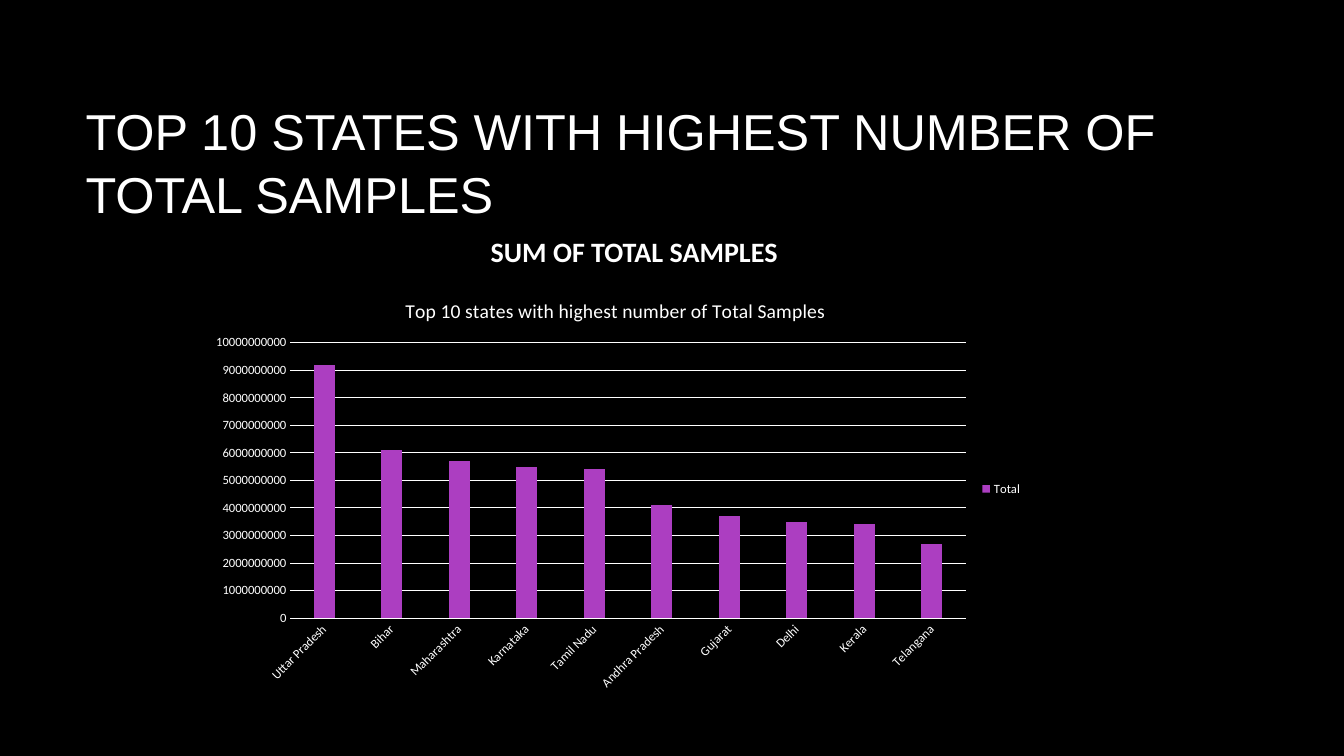
import pptx
import pptx.chart.data
import pptx.dml.color
import pptx.enum.chart
import pptx.enum.text
import pptx.oxml
import pptx.util
from lxml import etree

WIDTH, HEIGHT = 13.33, 7.5
WHITE, BLACK, PURPLE = "FFFFFF", "000000", "AC3EC1"
TITLE_BOX = (0.75, 0.78, 11.08, 1.49)
SUBTITLE_BOX = (0.75, 2.28, 11.08, 0.5)
CHART_BOX = (1.97, 2.78, 8.27, 4.14)
PLOT_SHARES = {"x": 0.11, "y": 0.15, "w": 0.81, "h": 0.66}
SAMPLES_IN_BILLIONS = {
    "Uttar Pradesh": 9.2, "Bihar": 6.1, "Maharashtra": 5.7,
    "Karnataka": 5.5, "Tamil Nadu": 5.4, "Andhra Pradesh": 4.1,
    "Gujarat": 3.7, "Delhi": 3.5, "Kerala": 3.4, "Telangana": 2.7,
}


def colour(target, value):
    if hasattr(target, "solid"):
        target.solid()
        target = target.fore_color
    target.rgb = pptx.dml.color.RGBColor.from_string(value)


def apply(target, values):
    for name, value in values.items():
        setattr(target, name, value)


def style_font(font, size, name="Calibri", bold=False):
    apply(font, {"size": pptx.util.Pt(size), "name": name, "bold": bold})
    colour(font.color, WHITE)


def style_line(line):
    line.width = pptx.util.Pt(0.75)
    colour(line.fill, WHITE)


def add_text(page, box, text, font, frame_format, para_format):
    frame = page.shapes.add_textbox(*map(pptx.util.Inches, box)).text_frame
    apply(frame, {"word_wrap": True, **frame_format})
    para = frame.paragraphs[0]
    apply(para, para_format)
    span = para.add_run()
    span.text = text
    style_font(span.font, **font)


def place_plot(chart, shares):
    plot_area = chart.plots[0]._element.getparent()
    for layout in plot_area.findall(pptx.oxml.ns.qn("c:layout")):
        plot_area.remove(layout)
    layout = etree.Element(pptx.oxml.ns.qn("c:layout"))
    manual = etree.SubElement(layout, pptx.oxml.ns.qn("c:manualLayout"))
    settings = {"layoutTarget": "inner", "xMode": "edge", "yMode": "edge", **shares}
    for name, value in settings.items():
        etree.SubElement(manual, pptx.oxml.ns.qn(f"c:{name}")).set("val", str(value))
    plot_area.insert(0, layout)


def add_samples_chart(page, box):
    data = pptx.chart.data.CategoryChartData()
    data.categories = list(SAMPLES_IN_BILLIONS)
    data.add_series("Total", [round(value * 10**9) for value in SAMPLES_IN_BILLIONS.values()])
    chart = page.shapes.add_chart(
        pptx.enum.chart.XL_CHART_TYPE.COLUMN_CLUSTERED,
        *map(pptx.util.Inches, box), data).chart
    style_font(chart.font, 10)

    chart.has_title = True
    heading = chart.chart_title.text_frame
    heading.text = "Top 10 states with highest number of Total Samples"
    style_font(heading.paragraphs[0].runs[0].font, 14)

    chart.has_legend = True
    apply(chart.legend, {
        "position": pptx.enum.chart.XL_LEGEND_POSITION.RIGHT,
        "include_in_layout": False,
    })
    style_font(chart.legend.font, 9)

    for axis in (chart.category_axis, chart.value_axis):
        apply(axis, {
            "major_tick_mark": pptx.enum.chart.XL_TICK_MARK.NONE,
            "minor_tick_mark": pptx.enum.chart.XL_TICK_MARK.NONE,
        })
        style_font(axis.tick_labels.font, 9)
    style_line(chart.category_axis.format.line)
    label_body = chart.category_axis._element.find(pptx.oxml.ns.qn("c:txPr"))
    label_body.find(pptx.oxml.ns.qn("a:bodyPr")).set("rot", str(-45 * 60000))

    apply(chart.value_axis, {
        "minimum_scale": 0, "maximum_scale": 10**10, "major_unit": 10**9,
    })
    apply(chart.value_axis.tick_labels, {
        "number_format": "0", "number_format_is_linked": False,
    })
    chart.value_axis.format.line.fill.background()
    style_line(chart.value_axis.major_gridlines.format.line)

    plot = chart.plots[0]
    apply(plot, {"gap_width": 219, "overlap": -27, "vary_by_categories": False})
    colour(plot.series[0].format.fill, PURPLE)
    place_plot(chart, PLOT_SHARES)


def build_samples_page(deck):
    page = deck.slides.add_slide(deck.slide_layouts[6])
    colour(page.background.fill, BLACK)
    add_text(
        page, TITLE_BOX, "TOP 10 STATES WITH HIGHEST NUMBER OF TOTAL SAMPLES",
        {"size": 36, "name": "Arial"},
        {"vertical_anchor": pptx.enum.text.MSO_ANCHOR.BOTTOM},
        {"line_spacing": 1.05})
    add_text(
        page, SUBTITLE_BOX, "SUM OF TOTAL SAMPLES",
        {"size": 20, "bold": True},
        {"vertical_anchor": pptx.enum.text.MSO_ANCHOR.TOP},
        {"alignment": pptx.enum.text.PP_ALIGN.CENTER, "space_after": pptx.util.Pt(10)})
    add_samples_chart(page, CHART_BOX)


def main():
    deck = pptx.Presentation()
    apply(deck, {
        "slide_width": pptx.util.Inches(WIDTH),
        "slide_height": pptx.util.Inches(HEIGHT),
    })
    build_samples_page(deck)
    deck.save("out.pptx")


if __name__ == "__main__":
    main()
